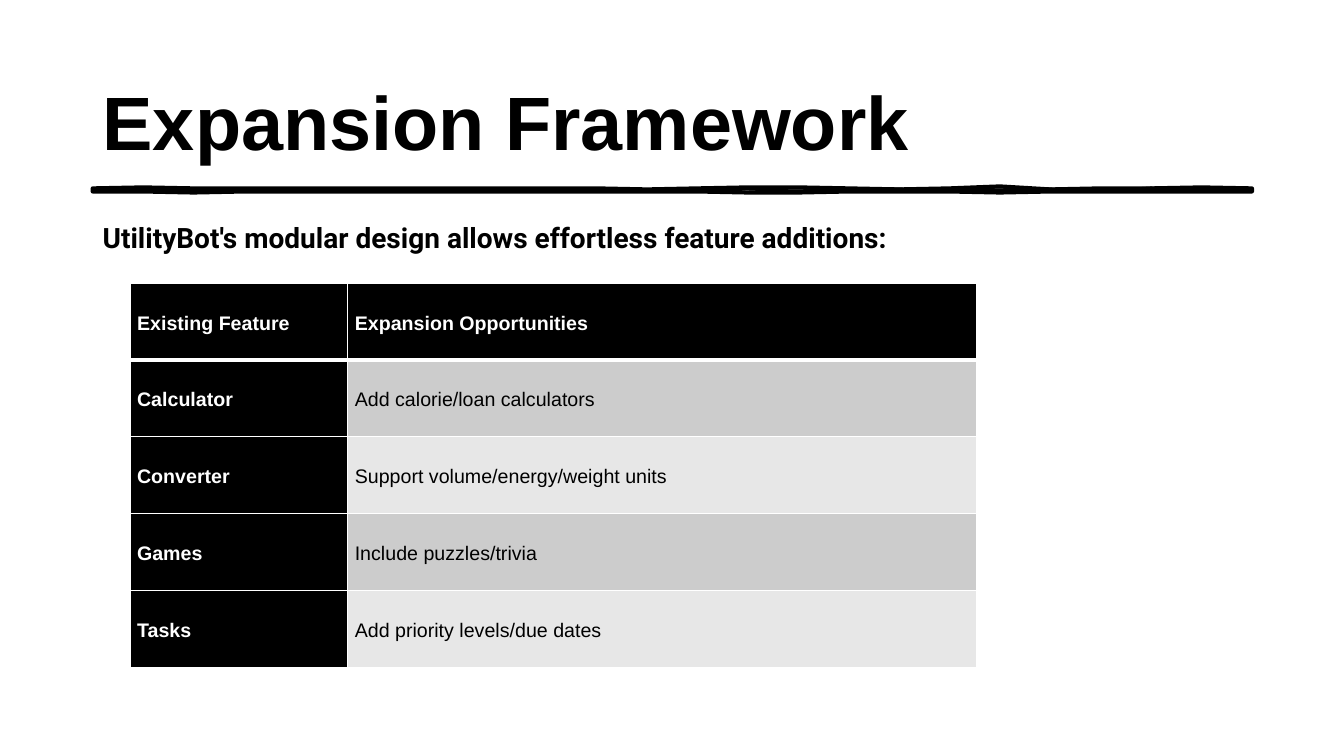
import dataclasses

import lxml.etree
import pptx
import pptx.dml.color
import pptx.enum.text
import pptx.oxml.ns
import pptx.util


@dataclasses.dataclass(frozen=True)
class Theme:
    black: str = "000000"
    white: str = "FFFFFF"
    bands: tuple = ("CCCCCC", "E7E7E7")
    heading_font: str = "Arial"
    body_font: str = "Roboto"
    title_size: int = 54
    lead_size: int = 20
    table_size: int = 14
    rule_width: int = 3
    border_width: int = 1
    header_border_width: int = 3


def color(value):
    return pptx.dml.color.RGBColor.from_string(value)


def grid(units):
    """One grid column or row is a tenth of an inch."""
    return pptx.util.Inches(units / 10)


class SlideBuilder:
    def __init__(self, presentation, theme):
        self.theme = theme
        self.slide = presentation.slides.add_slide(presentation.slide_layouts[6])

    def set_text(self, text_frame, text, size, font, text_color, bold,
                 line_spacing, before=0, after=0):
        text_frame.text = text
        text_frame.word_wrap = True
        paragraph = text_frame.paragraphs[0]
        paragraph.line_spacing = line_spacing
        paragraph.space_before = pptx.util.Pt(before)
        paragraph.space_after = pptx.util.Pt(after)
        for run in paragraph.runs:
            run.font.size = pptx.util.Pt(size)
            run.font.name = font
            run.font.bold = bold
            run.font.color.rgb = color(text_color)

    def text(self, text, column, row, columns, rows, size, font,
             anchor, line_spacing, before=0):
        shape = self.slide.shapes.add_textbox(
            grid(column), grid(row), grid(columns), grid(rows))
        shape.text_frame.vertical_anchor = anchor
        self.set_text(shape.text_frame, text, size, font, self.theme.black,
                      True, line_spacing, before)

    def brush_stroke(self, column, row, columns, thickness, top, bottom, filled):
        """Draw a wavy bar; top and bottom hold offsets in tenths of a row."""
        step = columns / (len(top) - 1)
        upper = [(column + i * step, row + wave / 10)
                 for i, wave in enumerate(top)]
        lower = [(column + i * step, row + thickness + wave / 10)
                 for i, wave in enumerate(bottom)]
        points = [(grid(x), grid(y)) for x, y in upper + lower[::-1]]
        builder = self.slide.shapes.build_freeform(*points[0])
        builder.add_line_segments(points[1:], close=True)
        shape = builder.convert_to_shape()
        shape.shadow.inherit = False
        if filled:
            shape.fill.solid()
            shape.fill.fore_color.rgb = color(self.theme.black)
            shape.line.fill.background()
        else:
            shape.fill.background()
            shape.line.color.rgb = color(self.theme.black)
            shape.line.width = pptx.util.Pt(self.theme.rule_width)

    def borders(self, cell, widths):
        properties = cell._tc.get_or_add_tcPr()
        for index, (side, width) in enumerate(widths.items()):
            line = lxml.etree.Element(pptx.oxml.ns.qn(f"a:ln{side}"),
                                      w=str(pptx.util.Pt(width)))
            fill = lxml.etree.SubElement(line, pptx.oxml.ns.qn("a:solidFill"))
            lxml.etree.SubElement(fill, pptx.oxml.ns.qn("a:srgbClr"),
                                  val=self.theme.white)
            properties.insert(index, line)

    def table(self, rows, column, row, column_widths, row_height):
        theme = self.theme
        table = self.slide.shapes.add_table(
            len(rows), len(column_widths), grid(column), grid(row),
            grid(sum(column_widths)), grid(row_height * len(rows))).table
        for table_column, width in zip(table.columns, column_widths):
            table_column.width = grid(width)
        for r, values in enumerate(rows):
            table.rows[r].height = grid(row_height)
            for c, value in enumerate(values):
                cell = table.cell(r, c)
                heading = r == 0 or c == 0
                cell.margin_left = cell.margin_right = grid(0.7)
                cell.margin_top = cell.margin_bottom = 0
                cell.vertical_anchor = pptx.enum.text.MSO_ANCHOR.MIDDLE
                cell.fill.solid()
                cell.fill.fore_color.rgb = color(
                    theme.black if heading else theme.bands[(r - 1) % 2])
                self.set_text(cell.text_frame, value, theme.table_size,
                              theme.heading_font,
                              theme.white if heading else theme.black,
                              heading, 1.15, after=8)
                thin, thick = theme.border_width, theme.header_border_width
                self.borders(cell, {"L": thin, "R": thin,
                                    "T": thick if r == 1 else thin,
                                    "B": thick if r == 0 else thin})


def main():
    presentation = pptx.Presentation()
    presentation.slide_width = grid(133.33)
    presentation.slide_height = grid(75)
    theme = Theme()
    builder = SlideBuilder(presentation, theme)
    left, width = 9.2, 115

    # Hand-drawn rule: an outline and a filled stroke over it
    builder.brush_stroke(
        left, 18.7, width, 0.3,
        [0, -1, 0, 0, 0, 0, 0, 0, 0, 0, 0, 1,
         0, -1, -1, 0, 1, 0, -2, 1, 0, 0, -1, 0],
        [0, 0, 1, 0, 0, 0, 0, 0, 0, 0, 0, 0,
         0, 1, 1, 0, 0, 0, 1, 0, 0, 0, 0, 0], filled=False)
    builder.brush_stroke(
        left, 18.7, width, 0.3,
        [0, 1, -1, 0, 0, 0, -1, 0, 0, 0, 0, 0,
         0, 0, 1, -1, -1, 0, 0, -1, 1, -2, 1, 0],
        [0, 1, 0, 0, 0, 0, 0, 0, 0, 0, 0, -1,
         0, -1, 1, 0, 0, 0, 2, 0, 0, 0, 0, 0], filled=True)

    # Title and lead sentence
    builder.text("Expansion Framework", left, 4, width, 14.5,
                 theme.title_size, theme.heading_font,
                 pptx.enum.text.MSO_ANCHOR.MIDDLE, 1.15)
    builder.text("UtilityBot's modular design allows effortless feature additions:",
                 left, 21.1, width, 46.5, theme.lead_size, theme.body_font,
                 pptx.enum.text.MSO_ANCHOR.TOP, 1.1, before=10)

    # Feature table
    builder.table([
        ("Existing Feature", "Expansion Opportunities"),
        ("Calculator", "Add calorie/loan calculators"),
        ("Converter", "Support volume/energy/weight units"),
        ("Games", "Include puzzles/trivia"),
        ("Tasks", "Add priority levels/due dates"),
    ], 12.9, 28.1, (21.6, 62.4), 7.62)

    presentation.save("out.pptx")


if __name__ == "__main__":
    main()
